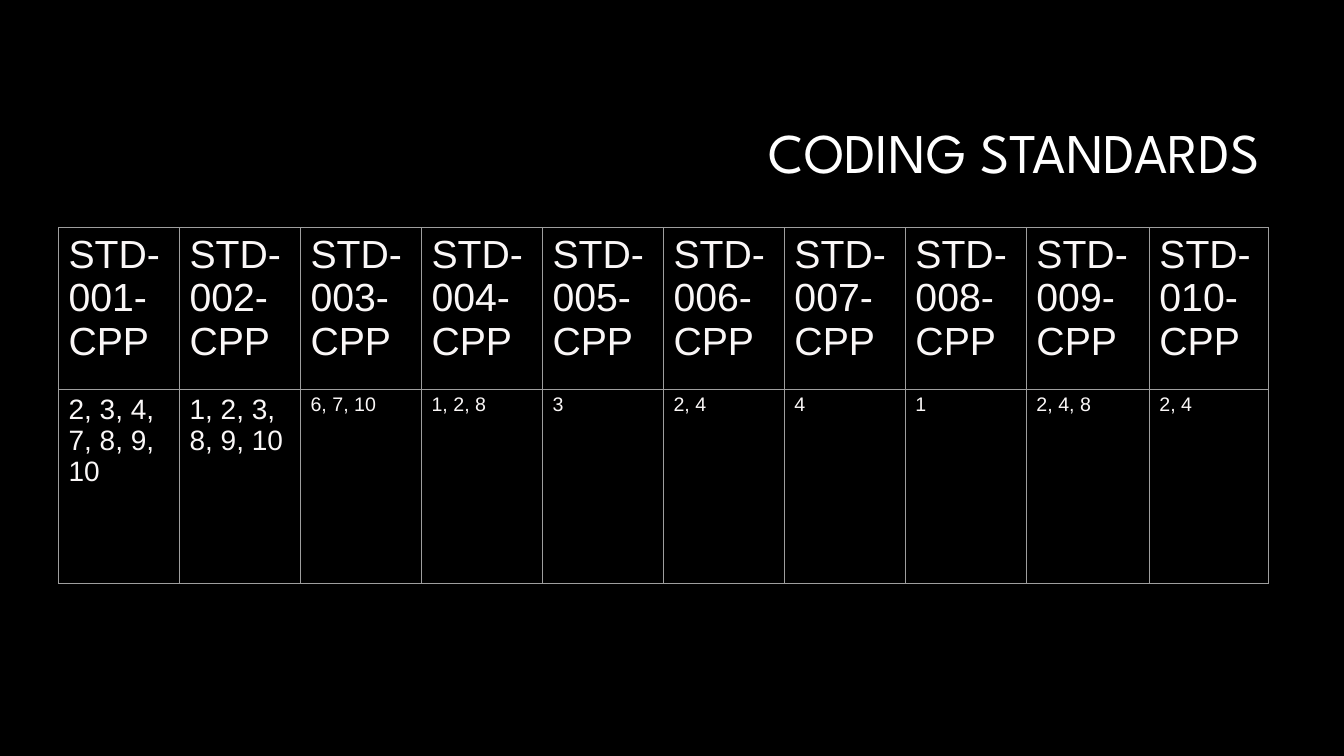
from lxml.etree import SubElement
from pptx import Presentation
from pptx.dml.color import RGBColor
from pptx.enum.text import MSO_ANCHOR, PP_ALIGN
from pptx.oxml.ns import qn
from pptx.util import Inches, Pt

COLORS = {
    "background": "000000",
    "title": "FFFFFF",
    "cell_text": "FAF7F7",
    "border": "9E9E9E",
}

# Principles that each coding standard supports, in order of standard number
PRINCIPLES = [
    "2, 3, 4, 7, 8, 9, 10", "1, 2, 3, 8, 9, 10", "6, 7, 10", "1, 2, 8", "3",
    "2, 4", "4", "1", "2, 4, 8", "2, 4",
]
COLUMN_WIDTHS = [1.2] * 8 + [1.22, 1.18]
ROW_HEIGHTS = [1.6, 1.93]


def rgb(name):
    return RGBColor.from_string(COLORS[name])


def format_runs(paragraph, font_name, size, color):
    for run in paragraph.runs:
        run.font.name = font_name
        run.font.size = Pt(size)
        run.font.color.rgb = rgb(color)


def add_title(slide, text):
    title = slide.shapes.add_textbox(
        Inches(3.17), Inches(0.84), Inches(9.42), Inches(1.41))
    frame = title.text_frame
    frame.word_wrap = True
    frame.vertical_anchor = MSO_ANCHOR.MIDDLE
    frame.text = text
    heading = frame.paragraphs[0]
    heading.alignment = PP_ALIGN.RIGHT
    heading.line_spacing = 0.9
    format_runs(heading, "League Spartan", 40, "title")


def set_borders(cell):
    properties = cell._tc.get_or_add_tcPr()
    for side in ("lnL", "lnR", "lnT", "lnB"):
        line = SubElement(properties, qn(f"a:{side}"), w=str(Pt(0.75)))
        fill = SubElement(line, qn("a:solidFill"))
        SubElement(fill, qn("a:srgbClr"), val=COLORS["border"])


def fill_cell(cell, text, size):
    set_borders(cell)
    cell.fill.background()
    cell.text_frame.text = text
    format_runs(cell.text_frame.paragraphs[0], "Arial", size, "cell_text")


def add_standards_table(slide):
    standards = slide.shapes.add_table(
        len(ROW_HEIGHTS), len(COLUMN_WIDTHS), Inches(0.58), Inches(2.26),
        Inches(sum(COLUMN_WIDTHS)), Inches(sum(ROW_HEIGHTS))).table
    standards.first_row = False
    standards.horz_banding = False
    for column, width in zip(standards.columns, COLUMN_WIDTHS):
        column.width = Inches(width)
    for row, height in zip(standards.rows, ROW_HEIGHTS):
        row.height = Inches(height)

    # Standard name above its principles; the first two lists are larger
    for index, principles in enumerate(PRINCIPLES):
        fill_cell(standards.cell(0, index), f"STD-{index + 1:03}-CPP", 28)
        fill_cell(standards.cell(1, index), principles, 20 if index < 2 else 14)


def main():
    presentation = Presentation()
    presentation.slide_width = Inches(13.33)
    presentation.slide_height = Inches(7.5)
    slide = presentation.slides.add_slide(presentation.slide_layouts[6])

    # Background
    slide.background.fill.solid()
    slide.background.fill.fore_color.rgb = rgb("background")

    # Content
    add_title(slide, "CODING STANDARDS")
    add_standards_table(slide)

    presentation.save("out.pptx")


main()
